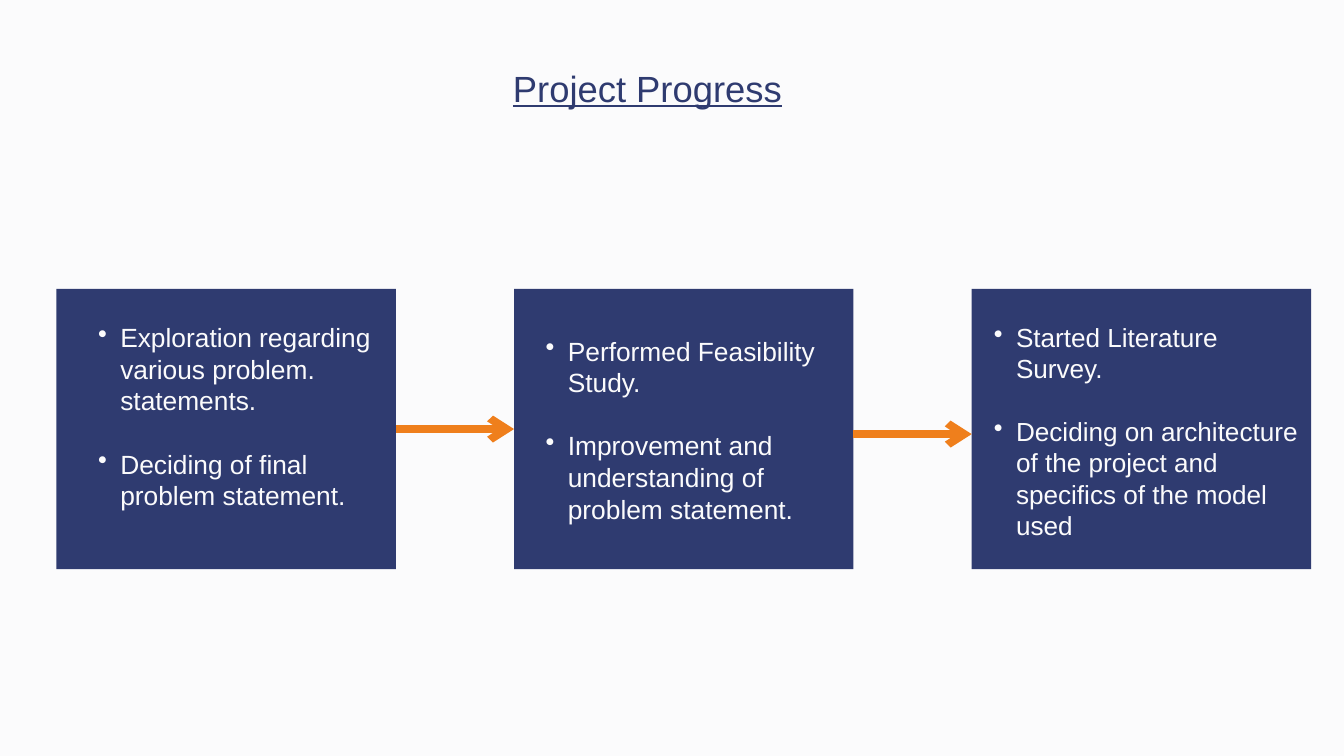
from lxml import etree
from pptx import Presentation
from pptx import util as u
from pptx.dml.color import RGBColor
from pptx.enum import shapes, text
from pptx.oxml.ns import qn

COLOURS = {"paper": "FBFBFC", "navy": "2F3B70", "orange": "EF7F1C"}

CARD_LEFT, CARD_TOP, CARD_WIDTH, CARD_HEIGHT = 0.84, 4.3, 5.05, 4.17
CARD_PITCH = 6.81

# text left, top, width, height; size and line spacing in points; items
STAGES = [
    ((1.12, 4.78, 4.45, 3.26), 28.2, 33.9,
     ["Exploration regarding various problem. statements.",
      "Deciding of final problem statement."]),
    ((7.78, 4.98, 4.45, 2.81), 28.2, 33.9,
     ["Performed Feasibility Study.",
      "Improvement and understanding of problem statement."]),
    ((14.45, 4.78, 4.9, 3.26), 28, 33.6,
     ["Started Literature Survey.",
      "Deciding on architecture of the project and specifics of the model used"]),
]


def rgb(name):
    return RGBColor.from_string(COLOURS[name])


def set_all(target, values):
    for attribute, value in values.items():
        setattr(target, attribute, value)


class ProgressSlide:
    """Holds the slide and the shared text style."""

    font = "Arial"

    def __init__(self, slide):
        self.slide = slide
        slide.background.fill.solid()
        slide.background.fill.fore_color.rgb = rgb("paper")

    def card(self, left):
        card = self.slide.shapes.add_shape(
            shapes.MSO_SHAPE.RECTANGLE, u.Inches(left), u.Inches(CARD_TOP),
            u.Inches(CARD_WIDTH), u.Inches(CARD_HEIGHT))
        card.shadow.inherit = False
        card.fill.solid()
        card.fill.fore_color.rgb = rgb("navy")
        card.line.fill.background()
        return card

    def frame(self, box):
        frame = self.slide.shapes.add_textbox(*map(u.Inches, box)).text_frame
        set_all(frame, {"word_wrap": True, "margin_left": 0, "margin_top": 0,
                        "margin_right": 0, "margin_bottom": 0})
        return frame

    def add_words(self, paragraph, wording, colour, **font_format):
        run = paragraph.add_run()
        run.text = wording
        set_all(run.font, {"name": self.font, **font_format})
        run.font.color.rgb = rgb(colour)

    def title(self, box, wording):
        heading = self.frame(box).paragraphs[0]
        set_all(heading, {"alignment": text.PP_ALIGN.CENTER,
                          "line_spacing": u.Pt(46.8)})
        self.add_words(heading, wording, "navy", size=u.Pt(39), underline=True)

    def bullets(self, box, size, spacing, items):
        frame = self.frame(box)
        for number, wording in enumerate(items):
            item = frame.add_paragraph() if number else frame.paragraphs[0]
            set_all(item, {"level": 1, "line_spacing": u.Pt(spacing),
                           "space_before": u.Pt(spacing if number else 0)})
            properties = item._p.get_or_add_pPr()
            properties.set("marL", str(u.Inches(0.67)))
            properties.set("indent", str(u.Inches(-0.33)))
            etree.SubElement(properties, qn("a:buChar")).set("char", "•")
            self.add_words(item, wording, "paper", size=u.Pt(size))

    def arrow(self, start, end, y):
        arrow = self.slide.shapes.add_connector(
            shapes.MSO_CONNECTOR.STRAIGHT, u.Inches(start), u.Inches(y),
            u.Inches(end), u.Inches(y))
        arrow.line.color.rgb = rgb("orange")
        arrow.line.width = u.Pt(8.25)
        properties = arrow.element.spPr
        line = properties.find(qn("a:ln"))
        etree.SubElement(line, qn("a:tailEnd")).set("type", "arrow")
        etree.SubElement(properties, qn("a:effectLst"))
        return arrow


def main():
    deck = Presentation()
    set_all(deck, {"slide_width": u.Inches(20), "slide_height": u.Inches(11.25)})
    page = ProgressSlide(deck.slides.add_slide(deck.slide_layouts[6]))

    page.title((7.42, 0.98, 4.43, 0.65), "Project Progress")

    lefts = [CARD_LEFT + CARD_PITCH * number for number in range(len(STAGES))]
    cards = [page.card(left) for left in lefts]
    for stage in STAGES:
        page.bullets(*stage)

    # The second arrow runs slightly below the middle of the cards.
    arrows = [page.arrow(left + CARD_WIDTH, following, y)
              for left, following, y in zip(lefts, lefts[1:], (6.39, 6.46))]
    arrows[0].begin_connect(cards[0], 3)
    arrows[0].end_connect(cards[1], 1)

    deck.save("out.pptx")


if __name__ == "__main__":
    main()
